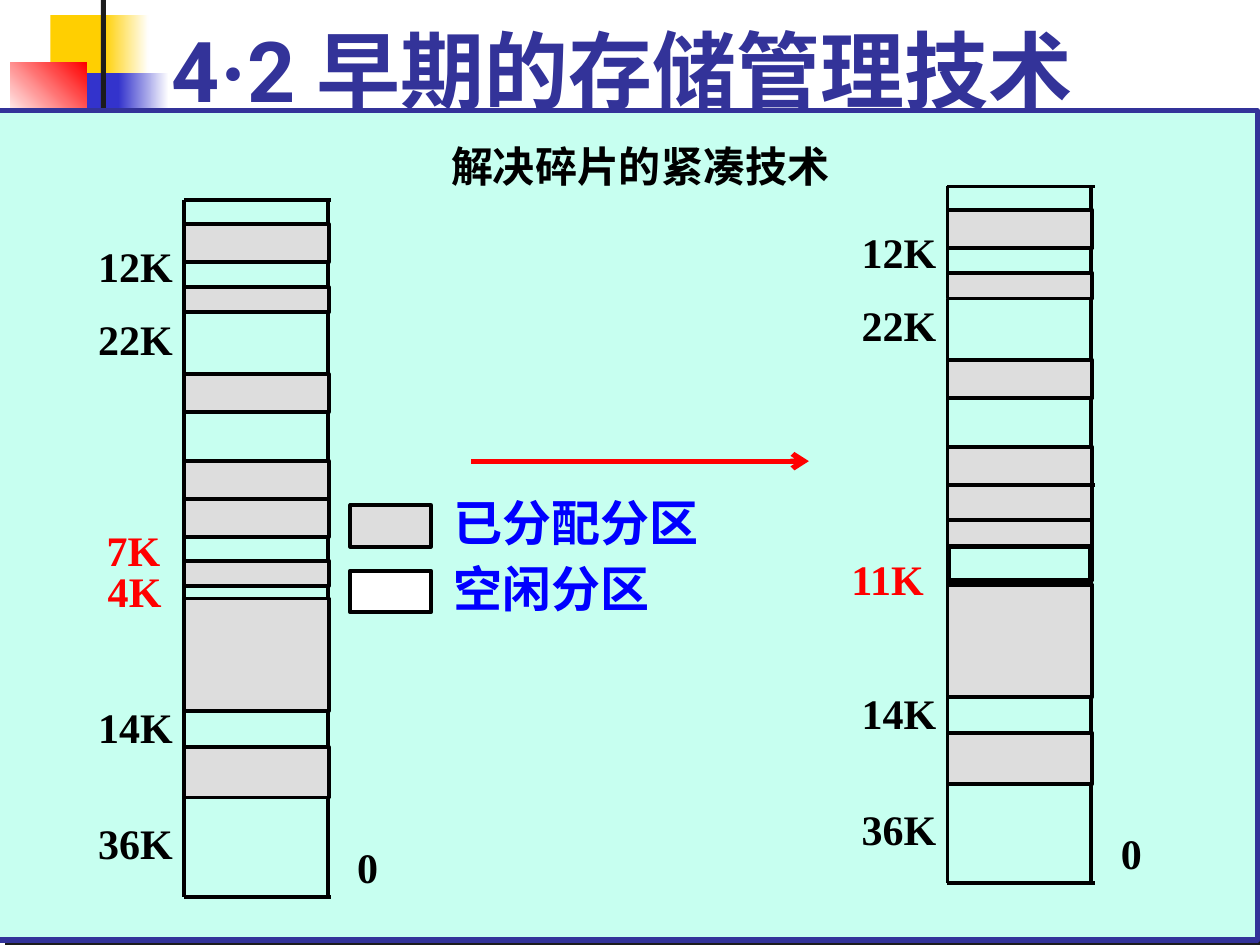
from lxml import etree
from pptx import Presentation
from pptx.dml.color import RGBColor
from pptx.enum import shapes, text
from pptx.oxml import ns
from pptx.util import Inches, Pt

COLORS = {
    "gold": "FFCF01", "indigo": "3333CC", "white": "FFFFFF", "red": "FF0000",
    "bar": "1C1C1C", "title": "333399", "mint": "C7FFF0", "used": "DDDDDD",
    "black": "000000", "blue": "0000FF",
}
SERIF = "Times New Roman"
SANS = "Roboto"
STRIP_WIDTH = 1.15
RAIL_OFFSET = 1.14
CAP_WIDTH = 1.17
STRIP_HEIGHT = 5.53
PARTITIONS = [(0.19, 0.3), (0.69, 0.2), (1.38, 0.3), (2.07, 0.6),
              (2.86, 0.2), (3.16, 0.89), (4.34, 0.4)]


def rgb(name):
    return RGBColor.from_string(COLORS[name])


def add_block(slide, left, top, width, height, fill=None, line=None, weight=2.25):
    """Draw a rectangle; a missing fill or line is left empty."""
    block = slide.shapes.add_shape(
        shapes.MSO_SHAPE.RECTANGLE,
        Inches(left), Inches(top), Inches(width), Inches(height))
    block.shadow.inherit = False
    if fill:
        block.fill.solid()
        block.fill.fore_color.rgb = rgb(fill)
    else:
        block.fill.background()
    if line:
        block.line.color.rgb = rgb(line)
        block.line.width = Pt(weight)
    else:
        block.line.fill.background()
    return block


def add_fade(slide, left, top, width, height, start, end, angle=0):
    """Draw a rectangle that fades from one colour to another."""
    fade = add_block(slide, left, top, width, height)
    fade.fill.gradient()
    fade.fill.gradient_angle = angle
    for stop, name in zip(fade.fill.gradient_stops, (start, end)):
        stop.color.rgb = rgb(name)


def add_line(slide, x1, y1, x2, y2, color="black", weight=2.25, arrow=False):
    """Draw a straight line, with an optional arrowhead at its end."""
    line = slide.shapes.add_connector(
        shapes.MSO_CONNECTOR.STRAIGHT,
        Inches(x1), Inches(y1), Inches(x2), Inches(y2))
    line.line.color.rgb = rgb(color)
    line.line.width = Pt(weight)
    if arrow:
        etree.SubElement(line.line._get_or_add_ln(), ns.qn("a:tailEnd"), type="arrow")
    etree.SubElement(line._element.spPr, ns.qn("a:effectLst"))


def add_label(slide, wording, left, top, width, height=0.5, size=24, color="black",
              font=SERIF, align=text.PP_ALIGN.RIGHT, wrap=False):
    """Write one bold line of text and return its paragraph."""
    box = slide.shapes.add_textbox(
        Inches(left), Inches(top), Inches(width), Inches(height))
    box.text_frame.word_wrap = wrap
    label = box.text_frame.paragraphs[0]
    label.text = wording
    label.alignment = align
    label.font.size = Pt(size)
    label.font.bold = True
    label.font.name = font
    label.font.color.rgb = rgb(color)
    return label


def add_heading(slide):
    """Draw the corner ornament and the title."""
    add_block(slide, 0.4, 0.12, 0.48, 0.52, "gold")
    add_fade(slide, 0.82, 0.12, 0.36, 0.52, "gold", "white")
    add_block(slide, 0.54, 0.58, 0.46, 0.52, "indigo")
    add_fade(slide, 0.94, 0.58, 0.4, 0.52, "indigo", "white")
    add_fade(slide, 0.08, 0.5, 0.61, 0.46, "white", "red", 45)
    add_block(slide, 0.8, 0, 0.04, 1.15, "bar")
    add_block(slide, 0.48, 0.88, 9, 0.03, "bar")
    title = add_label(slide, "4", 1.26, 0.08, 8.57, 0.92, 48, "title", SANS,
                      text.PP_ALIGN.LEFT, True)
    dot = title.add_run()
    dot.text = "·"
    dot.font.name = SERIF
    title.add_run().text = "2 早期的存储管理技术"
    slide.shapes[-1].text_frame.vertical_anchor = text.MSO_ANCHOR.BOTTOM


def add_panel(slide):
    """Draw the mint panel with its hard offset shadow."""
    panel = add_block(slide, -0.02, 0.88, 10, 6.58, "mint", "title", 3)
    effects = panel._element.spPr.find(ns.qn("a:effectLst"))
    shadow = etree.SubElement(effects, ns.qn("a:outerShdw"), dist=str(Pt(8.5)),
                              dir="2700000", algn="ctr", rotWithShape="0")
    etree.SubElement(shadow, ns.qn("a:srgbClr"), val=COLORS["bar"])


def add_legend(slide):
    """Explain the two partition fills."""
    for wording, fill, top, width in [("已分配分区", "used", 4.01, 2.14),
                                      ("空闲分区", "white", 4.53, 1.76)]:
        add_block(slide, 2.78, top, 0.64, 0.33, fill, "black")
        add_label(slide, wording, 3.5, top - 0.15, width, 0.57, 28, "blue",
                  align=text.PP_ALIGN.JUSTIFY)


def add_memory(slide, left, top, freed=None):
    """Draw a memory strip, its rails between partitions and its size labels."""
    for number, (offset, height) in enumerate(PARTITIONS):
        fill = None if number == freed else "used"
        add_block(slide, left, top + offset, STRIP_WIDTH, height, fill, "black")
    for offset in (0, 2.37, STRIP_HEIGHT):
        add_line(slide, left, top + offset, left + CAP_WIDTH, top + offset)
    gap_starts = [0] + [offset + height for offset, height in PARTITIONS]
    gap_ends = [offset for offset, _ in PARTITIONS] + [STRIP_HEIGHT]
    for start, end in zip(gap_starts, gap_ends):
        for rail in (left, left + RAIL_OFFSET):
            add_line(slide, rail, top + start, rail, top + end)
    for wording, offset in [("12K", 0.27), ("22K", 0.85), ("14K", 3.93), ("36K", 4.85)]:
        add_label(slide, wording, left - 0.79, top + offset, 0.8)
    add_label(slide, "0", left + 1.27, top + 5.04, 0.37)


def main():
    deck = Presentation()
    deck.slide_width, deck.slide_height = Inches(10), Inches(7.5)
    slide = deck.slides.add_slide(deck.slide_layouts[6])
    add_heading(slide)
    add_panel(slide)
    add_legend(slide)

    add_memory(slide, 1.46, 1.59)
    add_label(slide, "4K", 0.75, 4.44, 0.63, color="red")
    add_label(slide, "7K", 0.74, 4.11, 0.63, color="red")

    add_memory(slide, 7.52, 1.48, freed=4)
    add_label(slide, "11K", 6.64, 4.34, 0.79, color="red")
    add_block(slide, 7.52, 4.13, STRIP_WIDTH, 0.2, "used", "black")
    add_block(slide, 7.53, 4.34, 1.13, 0.27, "mint", "black", 3)

    add_line(slide, 3.74, 3.66, 6.42, 3.66, "red", 3, arrow=True)
    add_label(slide, "解决碎片的紧凑技术", 3.26, 1.07, 3.64, font=SANS,
              align=text.PP_ALIGN.CENTER, wrap=True)
    deck.save("out.pptx")


if __name__ == "__main__":
    main()
